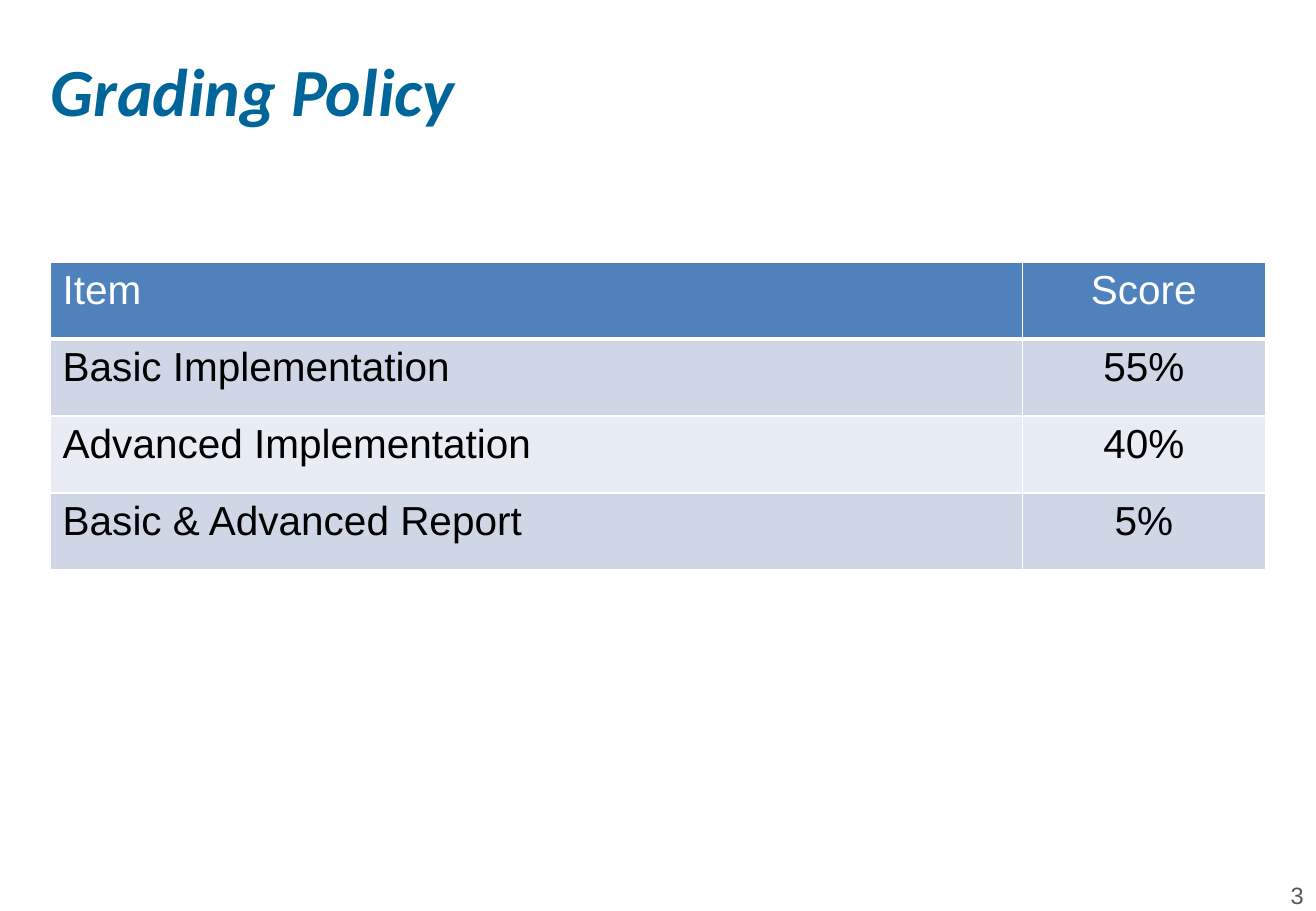
from pptx import Presentation
from pptx.dml.color import RGBColor
from pptx.enum.text import MSO_ANCHOR, PP_ALIGN
from pptx.oxml import parse_xml
from pptx.oxml.ns import nsdecls
from pptx.util import Pt

PX = 7620  # EMU in one px, 120 px to the inch
LEFT, CENTER = PP_ALIGN.LEFT, PP_ALIGN.CENTER
TOP, MIDDLE = MSO_ANCHOR.TOP, MSO_ANCHOR.MIDDLE
TITLE_ONLY = 5

WHITE = RGBColor(0xFF, 0xFF, 0xFF)
BLACK = RGBColor(0x00, 0x00, 0x00)
TITLE_BLUE = RGBColor(0x00, 0x66, 0x99)
HEADER_BLUE = RGBColor(0x4F, 0x81, 0xBD)
BAND_DARK = RGBColor(0xCF, 0xD7, 0xE7)
BAND_LIGHT = RGBColor(0xE8, 0xEC, 0xF4)
NUMBER_GREY = RGBColor(0x5E, 0x57, 0x4E)

GRADES = [
    ("Item", "Score"),
    ("Basic Implementation", "55%"),
    ("Advanced Implementation", "40%"),
    ("Basic & Advanced Report", "5%"),
]
COLUMN_WIDTHS = (960, 240)
COLUMN_ALIGNS = (LEFT, CENTER)
ROW_HEIGHT = 76


def px(*lengths):
    return [length * PX for length in lengths]


def set_text(frame, text, font_name, size, color, align=LEFT):
    frame.text = text
    para = frame.paragraphs[0]
    para.alignment = align
    font = para.runs[0].font
    font.name, font.size = font_name, Pt(size)
    font.color.rgb = color
    return para


def clear_margins(frame):
    frame.margin_left = frame.margin_right = 0
    frame.margin_top = frame.margin_bottom = 0


def add_title(page, text):
    title = page.shapes.title
    title.left, title.top, title.width, title.height = px(50, 47, 1199, 83)
    frame = title.text_frame
    clear_margins(frame)
    frame.vertical_anchor = MIDDLE
    para = set_text(frame, text, "Calibri", 40, TITLE_BLUE)
    para.runs[0].font.bold = para.runs[0].font.italic = True


def set_borders(cell, bottom_width, top_width):
    """Draw white lines round a cell; widths are in points."""
    widths = {"lnL": 1, "lnR": 1, "lnT": top_width, "lnB": bottom_width}
    properties = cell._tc.get_or_add_tcPr()
    for side, width in widths.items():
        properties.append(parse_xml(
            f'<a:{side} {nsdecls("a")} w="{Pt(width)}"><a:solidFill>'
            f'<a:srgbClr val="{WHITE}"/></a:solidFill></a:{side}>'))


def add_grade_table(page):
    table = page.shapes.add_table(
        len(GRADES), len(COLUMN_WIDTHS),
        *px(50, 259, sum(COLUMN_WIDTHS), ROW_HEIGHT * len(GRADES))).table
    for column, width in zip(table.columns, COLUMN_WIDTHS):
        column.width = width * PX
    for index, texts in enumerate(GRADES):
        table.rows[index].height = ROW_HEIGHT * PX
        is_header = index == 0
        band = BAND_DARK if index % 2 else BAND_LIGHT
        for column, (text, align) in enumerate(zip(texts, COLUMN_ALIGNS)):
            cell = table.cell(index, column)
            set_borders(cell, 3 if is_header else 1, 3 if index == 1 else 1)
            cell.fill.solid()
            cell.fill.fore_color.rgb = HEADER_BLUE if is_header else band
            set_text(cell.text_frame, text, "Arial", 24,
                     WHITE if is_header else BLACK, align)


def add_page_number(page, text):
    box = page.shapes.add_textbox(*px(1270, 865, 23, 30))
    frame = box.text_frame
    clear_margins(frame)
    frame.margin_left = 5 * PX
    frame.word_wrap = True
    frame.vertical_anchor = TOP
    para = set_text(frame, text, "Arial", 14, NUMBER_GREY)
    para.line_spacing = 1.18


def main():
    deck = Presentation()
    deck.slide_width, deck.slide_height = px(1300, 900)
    page = deck.slides.add_slide(deck.slide_layouts[TITLE_ONLY])
    add_title(page, "Grading Policy")
    add_grade_table(page)
    add_page_number(page, "3")
    deck.save("out.pptx")


if __name__ == "__main__":
    main()
